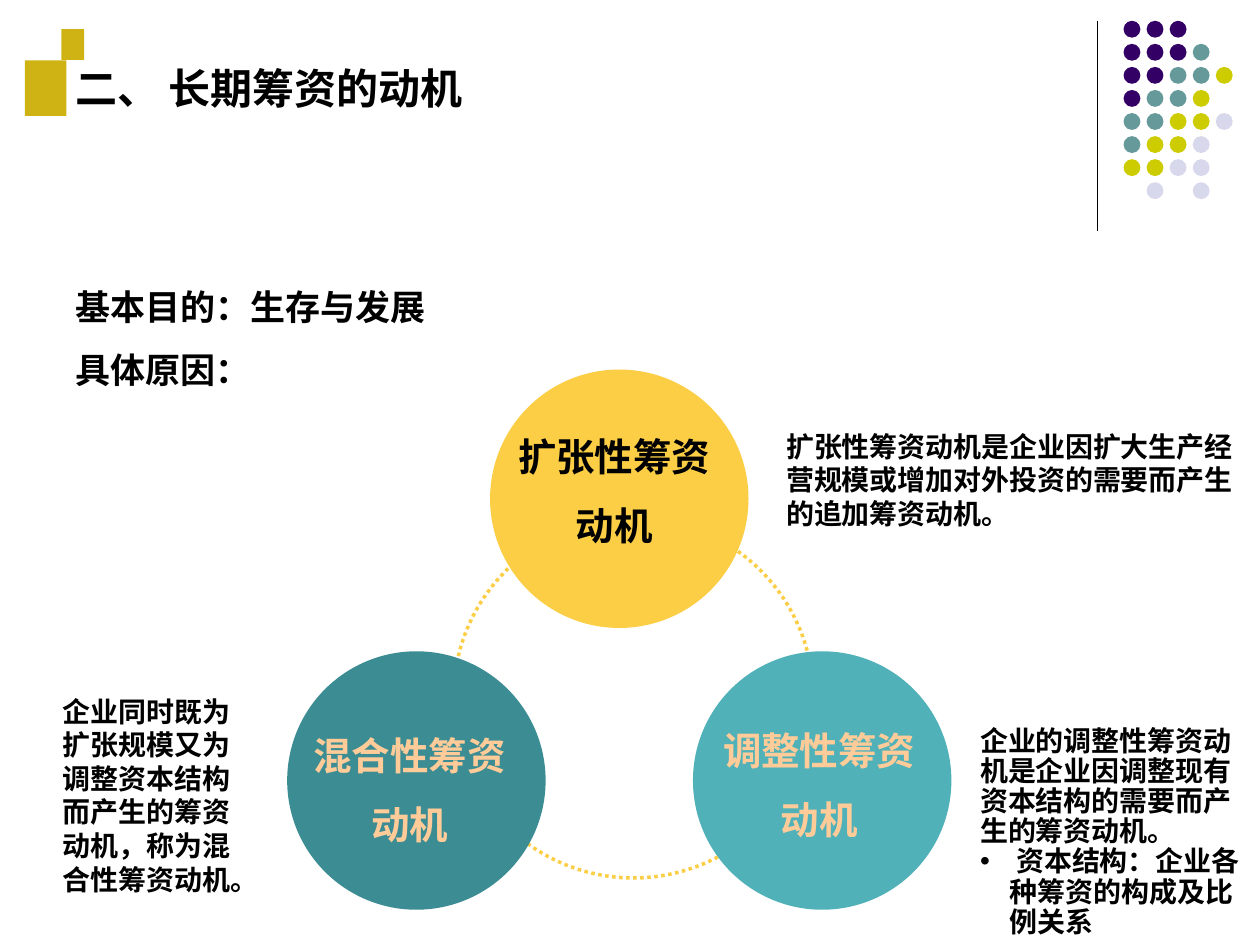
from dataclasses import dataclass

import pptx
import pptx.dml.color
import pptx.enum.dml
import pptx.enum.shapes
import pptx.enum.text
import pptx.oxml
import pptx.oxml.ns
import pptx.util

Cm = pptx.util.Cm
Pt = pptx.util.Pt
SHAPE = pptx.enum.shapes.MSO_SHAPE
CENTER = pptx.enum.text.PP_ALIGN.CENTER


@dataclass(frozen=True)
class Theme:
    black: str = "000000"
    gold: str = "CFB314"
    yellow: str = "FBCE45"
    dark_teal: str = "3C8C93"
    light_teal: str = "50B1B8"
    peach: str = "FFCC99"
    dot_purple: str = "330066"
    dot_teal: str = "669999"
    dot_lime: str = "CCCC00"
    dot_pale: str = "D8D8EC"
    heading_font: str = "Noto Sans CJK SC"
    note_font: str = "Arial"
    title_size: int = 24
    label_size: int = 22
    goal_size: int = 20
    note_size: int = 16


def rgb(value):
    return pptx.dml.color.RGBColor.from_string(value)


def add_element(parent, tag, **attributes):
    element = pptx.oxml.parse_xml(f"<a:{tag} {pptx.oxml.ns.nsdecls('a')}/>")
    for name, value in attributes.items():
        element.set(name, str(value))
    parent.append(element)


def write_text(paragraph, text, *, size, color, font, east_asian_font,
               align=None, line_spacing=None, bullet_indent=None):
    if bullet_indent:
        properties = paragraph._p.get_or_add_pPr()
        properties.set("marL", str(bullet_indent))
        properties.set("indent", str(-bullet_indent))
        add_element(properties, "buFont", typeface="Arial")
        add_element(properties, "buChar", char="•")
    paragraph.alignment = align
    paragraph.line_spacing = line_spacing
    run = paragraph.add_run()
    run.text = text
    run.font.size = Pt(size)
    run.font.bold = True
    run.font.color.rgb = rgb(color)
    run.font.name = font
    add_element(run._r.get_or_add_rPr(), "ea", typeface=east_asian_font)


class SlideBuilder:
    def __init__(self, slide, theme):
        self.slide = slide
        self.theme = theme

    def shape(self, kind, left, top, width, height, fill=None, line=None, parent=None):
        shapes = (parent or self.slide).shapes
        shape = shapes.add_shape(kind, Cm(left), Cm(top), Cm(width), Cm(height))
        shape.shadow.inherit = False
        if fill:
            shape.fill.solid()
            shape.fill.fore_color.rgb = rgb(fill)
        else:
            shape.fill.background()
        if line:
            shape.line.color.rgb = rgb(line)
        else:
            shape.line.fill.background()
        return shape

    def dotted_ring(self, left, top, diameter):
        ring = self.shape(SHAPE.OVAL, left, top, diameter, diameter, line=self.theme.yellow)
        ring.line.width = Pt(2)
        ring.line.dash_style = pptx.enum.dml.MSO_LINE.ROUND_DOT

    def vertical_line(self, left, top, bottom):
        line = self.slide.shapes.add_connector(
            pptx.enum.shapes.MSO_CONNECTOR.STRAIGHT, Cm(left), Cm(top), Cm(left), Cm(bottom))
        line.line.color.rgb = rgb(self.theme.black)
        line.line.width = Pt(0.75)
        add_element(line._element.spPr, "effectLst")

    def dot_pattern(self, left, top, pitch, diameter, rows):
        """Draw one dot per letter; a space leaves a gap."""
        colors = {"p": self.theme.dot_purple, "t": self.theme.dot_teal,
                  "l": self.theme.dot_lime, "w": self.theme.dot_pale}
        group = self.slide.shapes.add_group_shape()
        for row, letters in enumerate(rows):
            for column, letter in enumerate(letters):
                if letter in colors:
                    self.shape(SHAPE.OVAL, left + column * pitch, top + row * pitch,
                               diameter, diameter, fill=colors[letter], parent=group)

    def text(self, left, top, width, height, paragraphs, *, size, color=None,
             font=None, grow=False, bullets=(), **style):
        """Add a text box; bullets holds the indexes of bulleted paragraphs."""
        box = self.slide.shapes.add_textbox(Cm(left), Cm(top), Cm(width), Cm(height))
        frame = box.text_frame
        frame.word_wrap = True
        if grow:
            frame.auto_size = pptx.enum.text.MSO_AUTO_SIZE.SHAPE_TO_FIT_TEXT
        for index, text in enumerate(paragraphs):
            paragraph = frame.add_paragraph() if index else frame.paragraphs[0]
            write_text(paragraph, text, size=size, color=color or self.theme.black,
                       font=font or self.theme.heading_font,
                       east_asian_font=self.theme.heading_font,
                       bullet_indent=Cm(0.6) if index in bullets else None, **style)

    def note(self, left, top, width, height, paragraphs, **style):
        self.text(left, top, width, height, paragraphs, size=self.theme.note_size,
                  font=self.theme.note_font, grow=True, **style)


def main():
    presentation = pptx.Presentation()
    presentation.slide_width = Cm(25.4)
    presentation.slide_height = Cm(19.05)
    theme = Theme()
    slide = presentation.slides.add_slide(presentation.slide_layouts[6])
    builder = SlideBuilder(slide, theme)

    builder.vertical_line(22.12, 0.43, 4.65)
    builder.dot_pattern(22.65, 0.42, 0.465, 0.34, [
        "ppp", "pppt", "ppttl", "pttl", "ttllw", "tllw", "llww", " w w"])
    builder.shape(SHAPE.RECTANGLE, 0.5, 1.22, 0.84, 1.12, fill=theme.gold)
    builder.shape(SHAPE.RECTANGLE, 1.24, 0.59, 0.46, 0.62, fill=theme.gold)

    builder.text(1.27, 5.2, 18.4, 3.1, ["基本目的：生存与发展", "具体原因："],
                 size=theme.goal_size, line_spacing=1.5)
    builder.text(1.27, 1.14, 15.55, 1.27, ["二、 长期筹资的动机"],
                 size=theme.title_size, grow=True)

    builder.dotted_ring(9.14, 10.44, 7.26)
    for left, top, fill in [(5.79, 13.13, theme.dark_teal),
                            (9.88, 7.45, theme.yellow),
                            (13.97, 13.13, theme.light_teal)]:
        builder.shape(SHAPE.OVAL, left, top, 5.21, 5.21, fill=fill)
    for left, top, width, height, label, color in [
            (5.79, 14.17, 4.93, 2.0, "混合性筹资动机", theme.peach),
            (9.88, 8.13, 5.0, 1.73, "扩张性筹资动机", theme.black),
            (14.05, 14.07, 4.93, 1.6, "调整性筹资动机", theme.peach)]:
        builder.text(left, top, width, height, [label], size=theme.label_size,
                     color=color, align=CENTER, line_spacing=1.5)

    builder.note(15.6, 8.53, 9.7, 2.29, [
        "扩张性筹资动机是企业因扩大生产经营规模或增加对外投资的需要而产生的追加筹资动机。"])
    builder.note(19.51, 14.53, 5.79, 5.2, [
        "企业的调整性筹资动机是企业因调整现有资本结构的需要而产生的筹资动机。",
        " 资本结构：企业各种筹资的构成及比例关系"], line_spacing=0.9, bullets=(1,))
    builder.note(1.02, 13.87, 4.01, 5.0, [
        "企业同时既为扩张规模又为调整资本结构而产生的筹资动机，称为混合性筹资动机。"])

    presentation.save("out.pptx")


if __name__ == "__main__":
    main()
